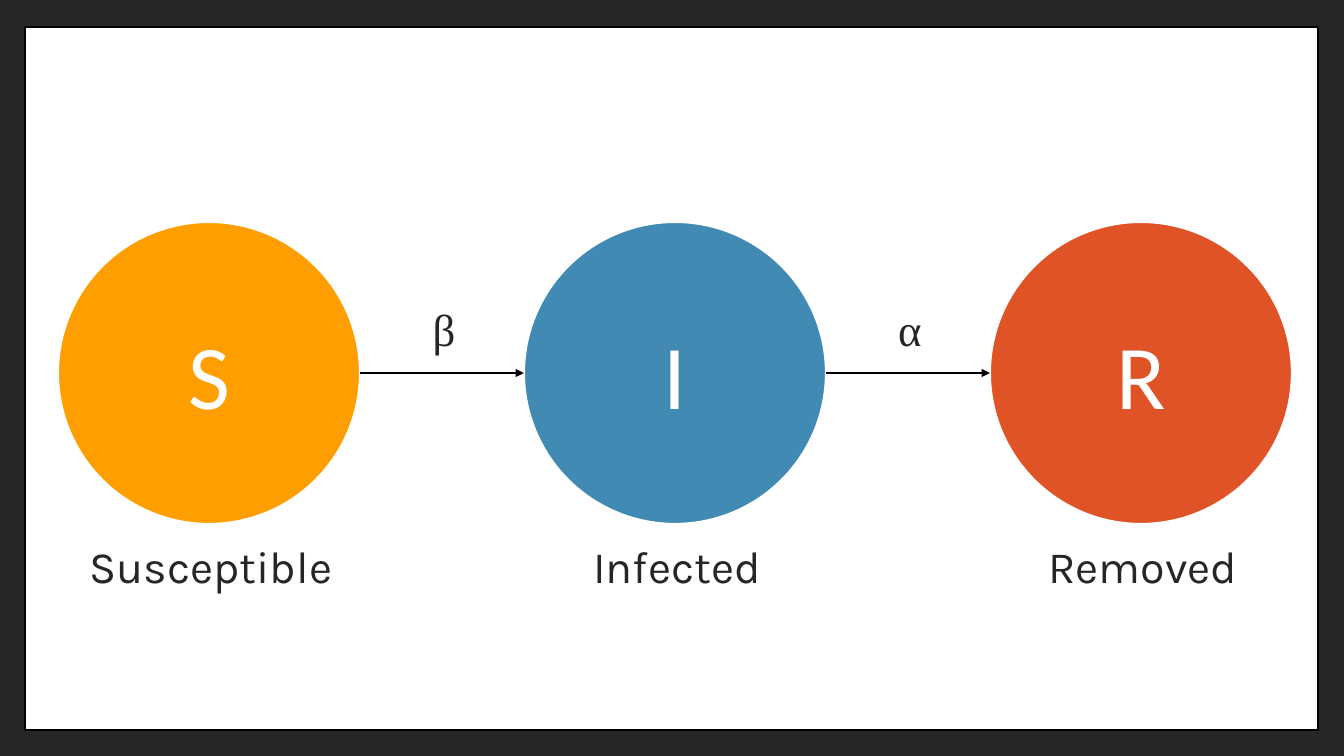
"""Build a slide of the SIR model: three circles joined by rate arrows."""
from typing import NamedTuple

from lxml import etree
from pptx import Presentation, util as u
from pptx.dml.color import RGBColor
from pptx.enum import shapes as es, text as et
from pptx.oxml.ns import qn

PX = 914400 / 100.8
DARK = RGBColor(0x26, 0x26, 0x26)
WHITE = RGBColor(0xFF, 0xFF, 0xFF)
BLACK = RGBColor(0, 0, 0)
AMBER = RGBColor(0xFE, 0x9E, 0x00)
BLUE = RGBColor(0x41, 0x8A, 0xB3)
RED = RGBColor(0xDF, 0x53, 0x27)

LEFT, TOP, SIZE, STEP = 58, 222, 302, 466
MID = TOP + SIZE // 2


class State(NamedTuple):
    letter: str
    name: str
    color: RGBColor


class Box(NamedTuple):
    left: int
    top: int
    width: int
    height: int


STATES = (
    State("S", "Susceptible", AMBER),
    State("I", "Infected", BLUE),
    State("R", "Removed", RED),
)
RATES = ("β", "α")


def px(n: int) -> u.Emu:
    """Turn pixels into EMU."""
    return u.Emu(round(n * PX))


def add_form(slide, kind, box: Box, fill: RGBColor, line: RGBColor, width: float):
    """Add a filled and outlined shape."""
    form = slide.shapes.add_shape(kind, *map(px, box))
    form.shadow.inherit = False
    form.fill.solid()
    form.fill.fore_color.rgb = fill
    form.line.color.rgb = line
    form.line.width = u.Pt(width)
    return form


def style(para, font: str, size: int, color: RGBColor) -> None:
    """Centre a paragraph and format its runs."""
    para.alignment = et.PP_ALIGN.CENTER
    for run in para.runs:
        run.font.name = font
        run.font.size = u.Pt(size)
        run.font.color.rgb = color


def add_disc(slide, left: int, state: State) -> None:
    """Add the circle of one state."""
    box = Box(left, TOP, SIZE, SIZE)
    disc = add_form(slide, es.MSO_SHAPE.OVAL, box, state.color, WHITE, 1.5)
    frame = disc.text_frame
    frame.text = state.letter
    frame.vertical_anchor = et.MSO_ANCHOR.MIDDLE
    style(frame.paragraphs[0], "Calibri", 65, WHITE)


def add_label(slide, box: Box, words: str, font: str) -> None:
    """Add a centred caption."""
    frame = slide.shapes.add_textbox(*map(px, box)).text_frame
    frame.word_wrap = True
    frame.text = words
    para = frame.paragraphs[0]
    para.line_spacing = 0.9
    para.space_before = u.Pt(14)
    para._p.get_or_add_pPr().set("marL", str(px(5)))
    style(para, font, 32, DARK)


def add_arrow(slide, start: int, end: int) -> None:
    """Add a level arrow between two circles."""
    line = slide.shapes.add_connector(
        es.MSO_CONNECTOR.STRAIGHT, px(start), px(MID), px(end), px(MID))
    line.line.color.rgb = BLACK
    line.line.width = u.Pt(1.5)
    tail = etree.SubElement(line.line._get_or_add_ln(), qn("a:tailEnd"))
    tail.set("type", "triangle")
    etree.SubElement(line._element.spPr, qn("a:effectLst"))


def main() -> None:
    """Draw the slide and save it."""
    deck = Presentation()
    deck.slide_width, deck.slide_height = px(1344), px(756)
    slide = deck.slides.add_slide(deck.slide_layouts[6])
    back = slide.background.fill
    back.solid()
    back.fore_color.rgb = DARK
    add_form(slide, es.MSO_SHAPE.RECTANGLE, Box(25, 27, 1293, 703), WHITE, BLACK, 1)
    for i, state in enumerate(STATES):
        left = LEFT + i * STEP
        add_disc(slide, left, state)
        add_label(slide, Box(left - 16, 540, 333, 117), state.name, "Karla")
    for i, rate in enumerate(RATES):
        left = LEFT + i * STEP
        add_arrow(slide, left + SIZE, left + STEP)
        add_label(slide, Box(left + 355, 303, 57, 70), rate, "Times New Roman")
    deck.save("out.pptx")


main()
